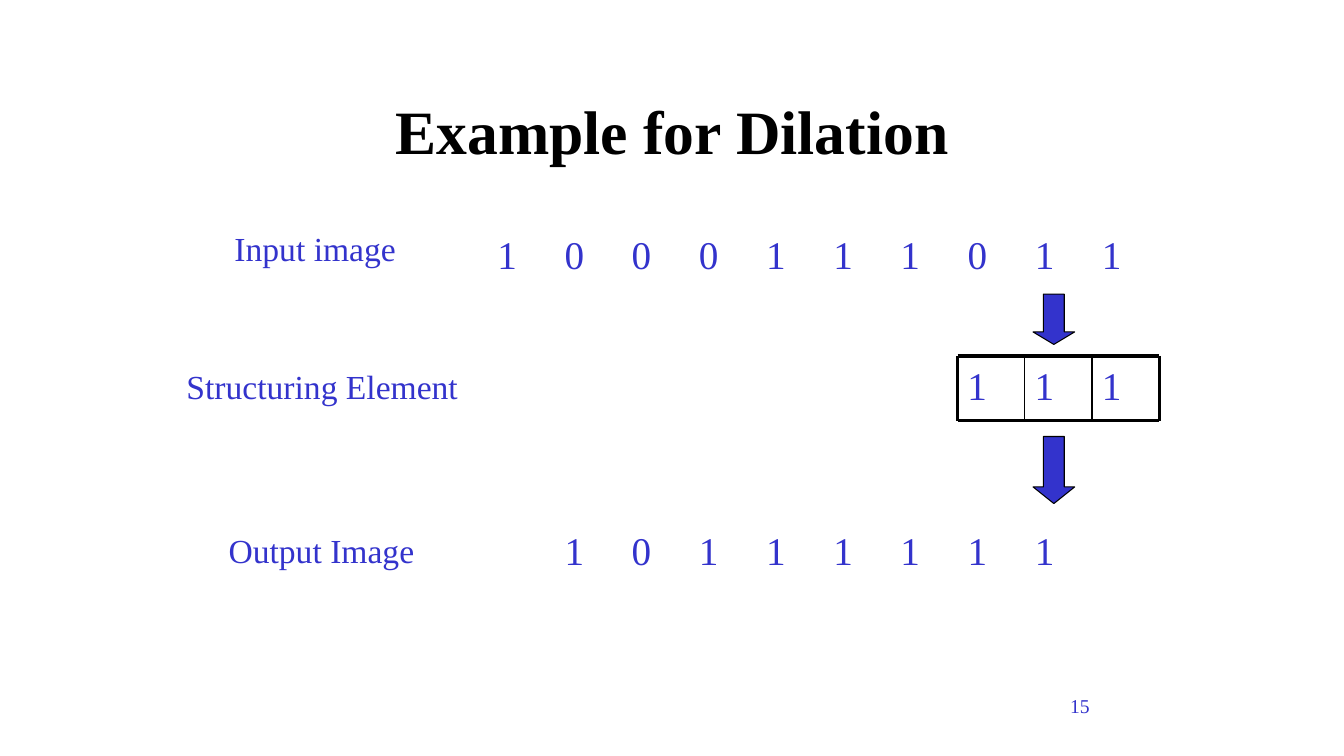
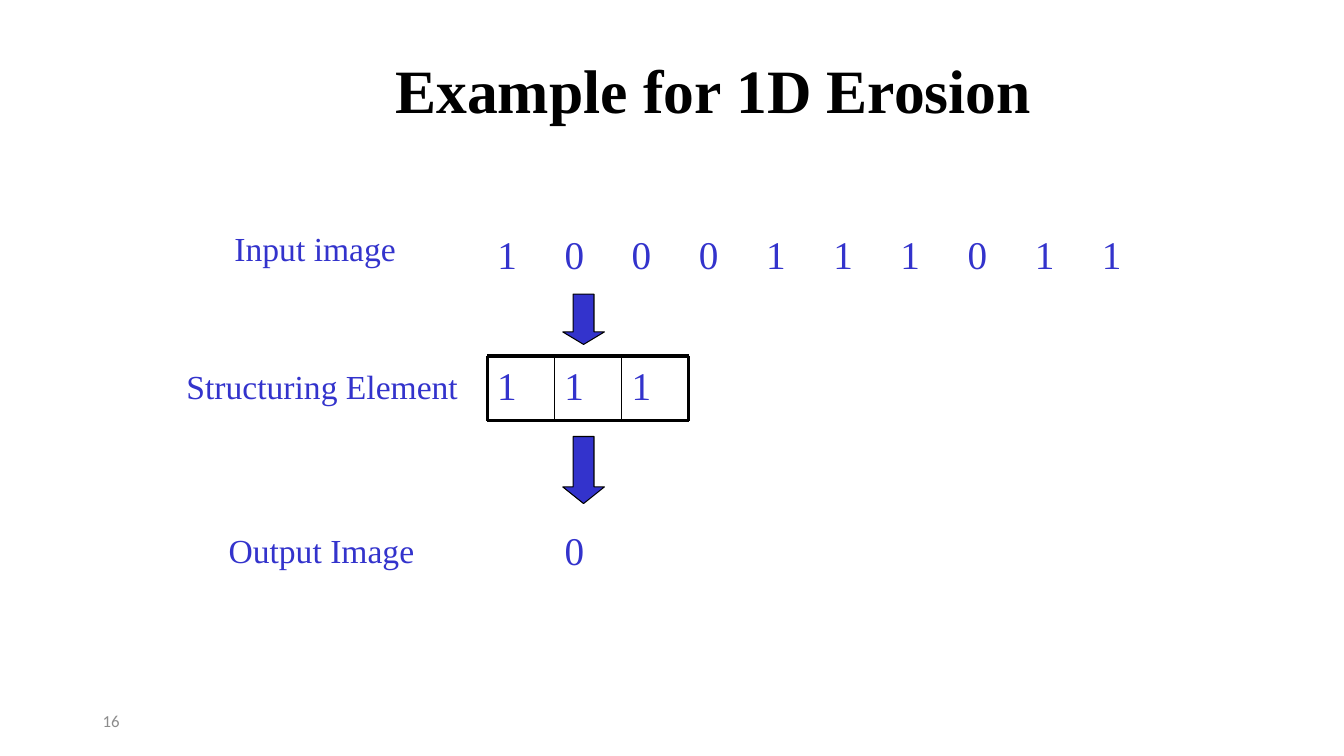
from lxml import etree
from pptx import Presentation
from pptx.dml.color import RGBColor
from pptx.enum.shapes import MSO_CONNECTOR, MSO_SHAPE
from pptx.enum.text import MSO_ANCHOR, MSO_AUTO_SIZE, PP_ALIGN
from pptx.oxml.ns import qn
from pptx.util import Cm, Pt

LEFT, CENTER, RIGHT = PP_ALIGN.LEFT, PP_ALIGN.CENTER, PP_ALIGN.RIGHT
TOP, MIDDLE = MSO_ANCHOR.TOP, MSO_ANCHOR.MIDDLE
FIT_SHAPE = MSO_AUTO_SIZE.SHAPE_TO_FIT_TEXT
DOWN_ARROW, STRAIGHT = MSO_SHAPE.DOWN_ARROW, MSO_CONNECTOR.STRAIGHT
NO_STYLE = "{2D5ABB26-0587-4C30-8999-92F81FD0307C}"

# Content: each output row starts in the second column
INPUT_BITS = "1000111011"
ELEMENT_BITS = "111"
SLIDES = [
    {"title": "Example for Dilation", "title_at": (6.15, 1.69),
     "output": "10111111", "element_col": 7,
     "number": "15", "number_at": (22.43, 17.35, 5.28, 1.27), "number_style": "serif"},
    {"title": "Example for 1D Erosion", "title_at": (7.19, 0.64),
     "output": "0", "element_col": 0,
     "number": "16", "number_at": (2.34, 17.65, 7.62, 1.02), "number_style": "sans"},
]
LABELS = [
    ("Input image", (5.66, 5.61, 4.57, 1.27)),
    ("Structuring Element", (4.45, 9.09, 7.37, 1.27)),
    ("Output Image", (5.51, 13.23, 5.18, 1.27)),
]

# Shared look
COLORS = {"text": "000000", "accent": "3333CC", "muted": "8C8C8C", "line": "000000"}
SERIF, SANS = "Times New Roman", "Calibri"
STYLES = {
    "title": {"name": SERIF, "size": Pt(44), "bold": True, "color": "text"},
    "label": {"name": SERIF, "size": Pt(24), "bold": False, "color": "accent"},
    "bit": {"name": SERIF, "size": Pt(28), "bold": False, "color": "accent"},
    "serif": {"name": SERIF, "size": Pt(14), "bold": False, "color": "accent"},
    "sans": {"name": SANS, "size": Pt(12), "bold": False, "color": "muted"},
}
NUMBER_LAYOUT = {"serif": (RIGHT, TOP), "sans": (LEFT, MIDDLE)}
BIT_SPACE = Pt(7)

# Bit grid
COLS = len(INPUT_BITS)
GRID_LEFT, GRID_W = Cm(12.28), Cm(16.93)
STEP = GRID_W // COLS
ROW_H = Cm(1.48)
INPUT_TOP, OUTPUT_TOP = Cm(5.72), Cm(13.16)
ELEMENT_TOP, ELEMENT_H = Cm(8.97), Cm(1.63)
ARROW_W, ARROW_SHIFT = Cm(1.05), Cm(0.21)
ARROWS = [(Cm(11), Cm(1.69), 0.4), (Cm(7.41), Cm(1.27), 0.3)]  # top, height, head
THICK, THIN = Pt(2.25), Pt(1)


def rgb(key):
    return RGBColor.from_string(COLORS[key])


def write(tf, text, style, align=LEFT):
    p = tf.paragraphs[0]
    p.alignment = align
    r = p.add_run()
    r.text = text
    for key, value in STYLES[style].items():
        if key == "color":
            r.font.color.rgb = rgb(value)
        else:
            setattr(r.font, key, value)
    return p


def add_text(shapes, box, text, style, align=LEFT, anchor=TOP, wrap=True):
    tf = shapes.add_textbox(*box).text_frame
    tf.word_wrap = wrap
    tf.vertical_anchor = anchor
    if not wrap:
        tf.auto_size = FIT_SHAPE
    return write(tf, text, style, align)


def add_title(slide, text, at):
    sp = slide.shapes.title
    sp.left, sp.top = map(Cm, at)
    sp.width, sp.height = Cm(21.59), Cm(3.18)
    sp.text_frame.vertical_anchor = MIDDLE
    write(sp.text_frame, text, "title", CENTER)


def add_bits(slide, bits, first_col, top):
    frame = slide.shapes.add_table(1, COLS, GRID_LEFT, top, GRID_W, ROW_H)
    table = frame.table
    table.first_row = table.horz_banding = False
    next(frame._element.iter(qn("a:tableStyleId"))).text = NO_STYLE
    for col in range(COLS):
        table.columns[col].width = STEP
        cell = table.cell(0, col)
        cell.fill.background()
        cell.margin_top, cell.margin_bottom = Cm(0.33), Cm(0.13)
        if first_col <= col < first_col + len(bits):
            p = write(cell.text_frame, bits[col - first_col], "bit")
            p.line_spacing, p.space_before = 0.86, BIT_SPACE


def add_line(shapes, x1, y1, x2, y2, width):
    line = shapes.add_connector(STRAIGHT, x1, y1, x2, y2)
    line.line.color.rgb = rgb("line")
    line.line.width = width
    etree.SubElement(line._element.spPr, qn("a:effectLst"))


def add_element(slide, first_col):
    shapes = slide.shapes.add_group_shape().shapes
    left = GRID_LEFT + first_col * STEP
    count = len(ELEMENT_BITS)
    right, bottom = left + count * STEP, ELEMENT_TOP + ELEMENT_H
    # Bits and frame
    for i, bit in enumerate(ELEMENT_BITS):
        box = (left + i * STEP, ELEMENT_TOP, STEP, ELEMENT_H)
        add_text(shapes, box, bit, "bit").space_before = BIT_SPACE
    for y in (ELEMENT_TOP, bottom):
        add_line(shapes, left, y, right, y, THICK)
    for i in range(count + 1):
        x = left + i * STEP
        add_line(shapes, x, ELEMENT_TOP, x, bottom, THICK if i in (0, count) else THIN)
    # Arrows at the middle cell
    arrow_left = left + count // 2 * STEP + ARROW_SHIFT
    for top, height, head in ARROWS:
        sp = shapes.add_shape(DOWN_ARROW, arrow_left, top, ARROW_W, height)
        sp.shadow.inherit = False
        sp.adjustments[0], sp.adjustments[1] = 0.5, head
        sp.fill.solid()
        sp.fill.fore_color.rgb = rgb("accent")
        sp.line.color.rgb = rgb("line")
        sp.line.width = Pt(0.75)


def add_example(prs, data):
    slide = prs.slides.add_slide(prs.slide_layouts[5])
    add_title(slide, data["title"], data["title_at"])
    for text, box in LABELS:
        add_text(slide.shapes, map(Cm, box), text, "label", wrap=False)
    add_bits(slide, INPUT_BITS, 0, INPUT_TOP)
    add_bits(slide, data["output"], 1, OUTPUT_TOP)
    add_element(slide, data["element_col"])
    style = data["number_style"]
    add_text(slide.shapes, map(Cm, data["number_at"]), data["number"], style,
             *NUMBER_LAYOUT[style])


def main():
    prs = Presentation()
    prs.slide_width, prs.slide_height = Cm(33.87), Cm(19.05)
    for data in SLIDES:
        add_example(prs, data)
    prs.save("out.pptx")


if __name__ == "__main__":
    main()
